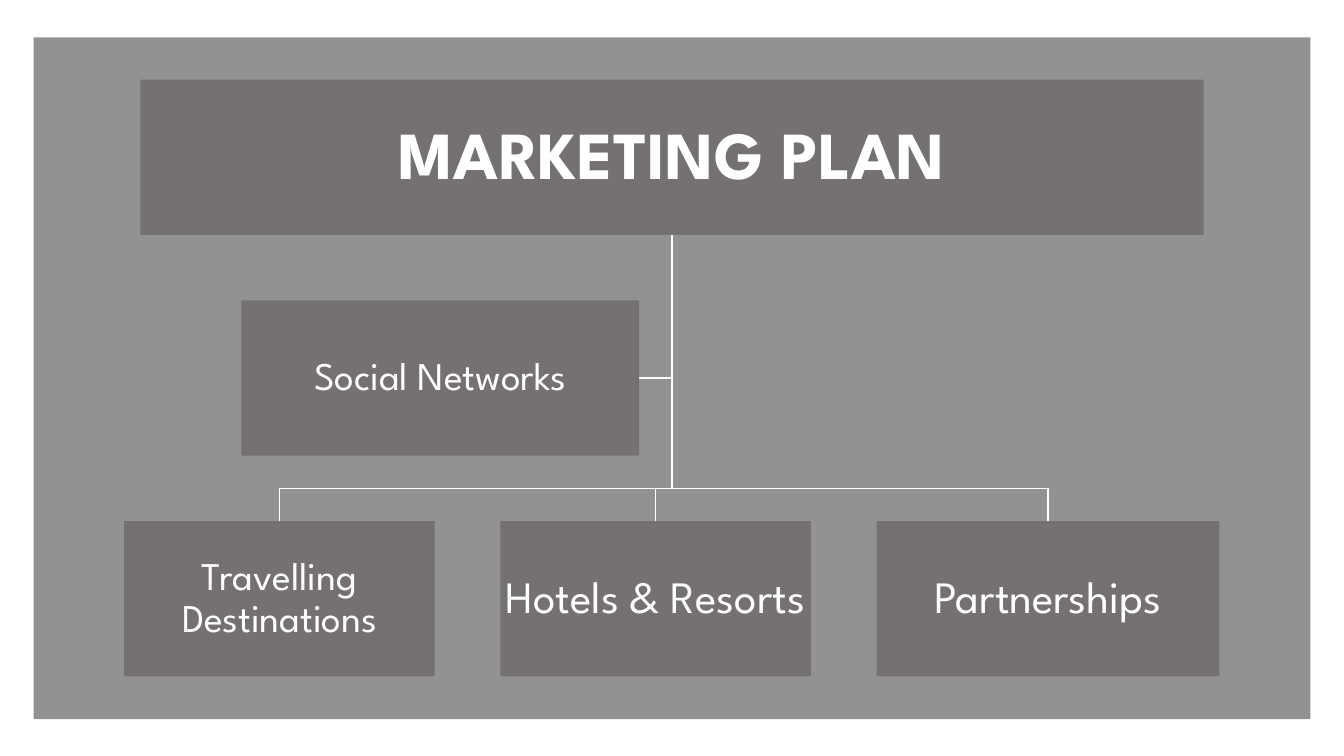
from dataclasses import dataclass

import pptx
import pptx.dml.color
import pptx.enum.shapes
import pptx.enum.text
import pptx.oxml.ns
import pptx.shapes.autoshape
import pptx.slide
import pptx.util
from lxml import etree

SLIDE_WIDTH = pptx.util.Emu(12192000)
SLIDE_HEIGHT = pptx.util.Inches(7.5)

Point = tuple[float, float]


@dataclass(frozen=True)
class Theme:
    panel: str = "262626"
    panel_alpha: int = 50
    box: str = "767171"
    ink: str = "FFFFFF"
    font: str = "League Spartan"
    title: int = 48
    large: int = 32
    normal: int = 28
    line: int = 1


@dataclass(frozen=True)
class Grid:
    first_row: float = 10.54
    row_height: float = 20.53
    row_gap: float = 8.67
    first_column: float = 9.24
    column_gap: float = 4.88
    center: float = 50

    def row_top(self, row: int) -> float:
        return self.first_row + row * (self.row_height + self.row_gap)


@dataclass(frozen=True)
class Node:
    text: str
    left: float
    width: float
    row: int
    size: int
    bold: bool = False
    inset: float = 0.02

    @property
    def middle(self) -> float:
        return self.left + self.width / 2


THEME = Theme()
GRID = Grid()


def across(percent: float) -> int:
    return round(SLIDE_WIDTH * percent / 100)


def down(percent: float) -> int:
    return round(SLIDE_HEIGHT * percent / 100)


def apply_format(target: object, values: dict[str, object]) -> None:
    for name, value in values.items():
        setattr(target, name, value)


def color(code: str) -> pptx.dml.color.RGBColor:
    return pptx.dml.color.RGBColor.from_string(code)


def add_rectangle(page: pptx.slide.Slide, left: float, top: float, width: float,
                  height: float, fill: str) -> pptx.shapes.autoshape.Shape:
    box = page.shapes.add_shape(pptx.enum.shapes.MSO_SHAPE.RECTANGLE,
                                across(left), down(top), across(width), down(height))
    box.shadow.inherit = False
    box.fill.solid()
    box.fill.fore_color.rgb = color(fill)
    box.line.fill.background()
    return box


def add_panel(page: pptx.slide.Slide) -> None:
    panel = add_rectangle(page, 2.5, 4.93, 95, 90.2, THEME.panel)
    shade = panel.fill._xPr.find(".//" + pptx.oxml.ns.qn("a:srgbClr"))
    etree.SubElement(shade, pptx.oxml.ns.qn("a:alpha"), val=str(THEME.panel_alpha * 1000))


def add_node(page: pptx.slide.Slide, node: Node) -> None:
    box = add_rectangle(page, node.left, GRID.row_top(node.row), node.width,
                        GRID.row_height, THEME.box)
    sides = ("margin_left", "margin_top", "margin_right", "margin_bottom")
    apply_format(box.text_frame, {
        "word_wrap": True,
        "vertical_anchor": pptx.enum.text.MSO_ANCHOR.MIDDLE,
        **dict.fromkeys(sides, pptx.util.Inches(node.inset)),
    })
    para = box.text_frame.paragraphs[0]
    apply_format(para, {
        "alignment": pptx.enum.text.PP_ALIGN.CENTER,
        "line_spacing": 0.9,
        "space_after": pptx.util.Pt(node.size * 0.35),
    })
    span = para.add_run()
    span.text = node.text
    apply_format(span.font, {"name": THEME.font, "size": pptx.util.Pt(node.size),
                             "bold": node.bold})
    span.font.color.rgb = color(THEME.ink)


def add_link(page: pptx.slide.Slide, *bends: Point) -> None:
    start = (GRID.center, GRID.row_top(0) + GRID.row_height)
    first, *others = [(across(x), down(y)) for x, y in (start, *bends)]
    builder = page.shapes.build_freeform(*first)
    builder.add_line_segments(others, close=False)
    link = builder.convert_to_shape()
    link.shadow.inherit = False
    link.fill.background()
    link.line.color.rgb = color(THEME.ink)
    link.line.width = pptx.util.Pt(THEME.line)


def plan_branches() -> list[Node]:
    branches = []
    left = GRID.first_column
    for text, width, size in (
        ("Travelling Destinations", 23.11, THEME.normal),
        ("Hotels & Resorts", 23.11, THEME.large),
        ("Partnerships", 25.51, THEME.large),
    ):
        branches.append(Node(text, left, width, 2, size))
        left += width + GRID.column_gap
    return branches


def draw_chart(page: pptx.slide.Slide) -> None:
    title_width, side_width = 79.1, 29.6
    title = Node("MARKETING PLAN", GRID.center - title_width / 2, title_width, 0,
                 THEME.title, bold=True, inset=0.03)
    side = Node("Social Networks", GRID.center - GRID.column_gap / 2 - side_width,
                side_width, 1, THEME.normal)
    branches = plan_branches()
    branch_top = GRID.row_top(2)
    bus = branch_top - GRID.row_gap / 2
    side_middle = GRID.row_top(1) + GRID.row_height / 2

    add_panel(page)
    add_link(page, (GRID.center, side_middle), (side.left + side.width, side_middle))
    for branch in reversed(branches):
        add_link(page, (GRID.center, bus), (branch.middle, bus),
                 (branch.middle, branch_top))
    for node in (title, *branches, side):
        add_node(page, node)


def main() -> None:
    deck = pptx.Presentation()
    apply_format(deck, {"slide_width": SLIDE_WIDTH, "slide_height": SLIDE_HEIGHT})
    page = deck.slides.add_slide(deck.slide_layouts[6])
    draw_chart(page)
    deck.save("out.pptx")


if __name__ == "__main__":
    main()
